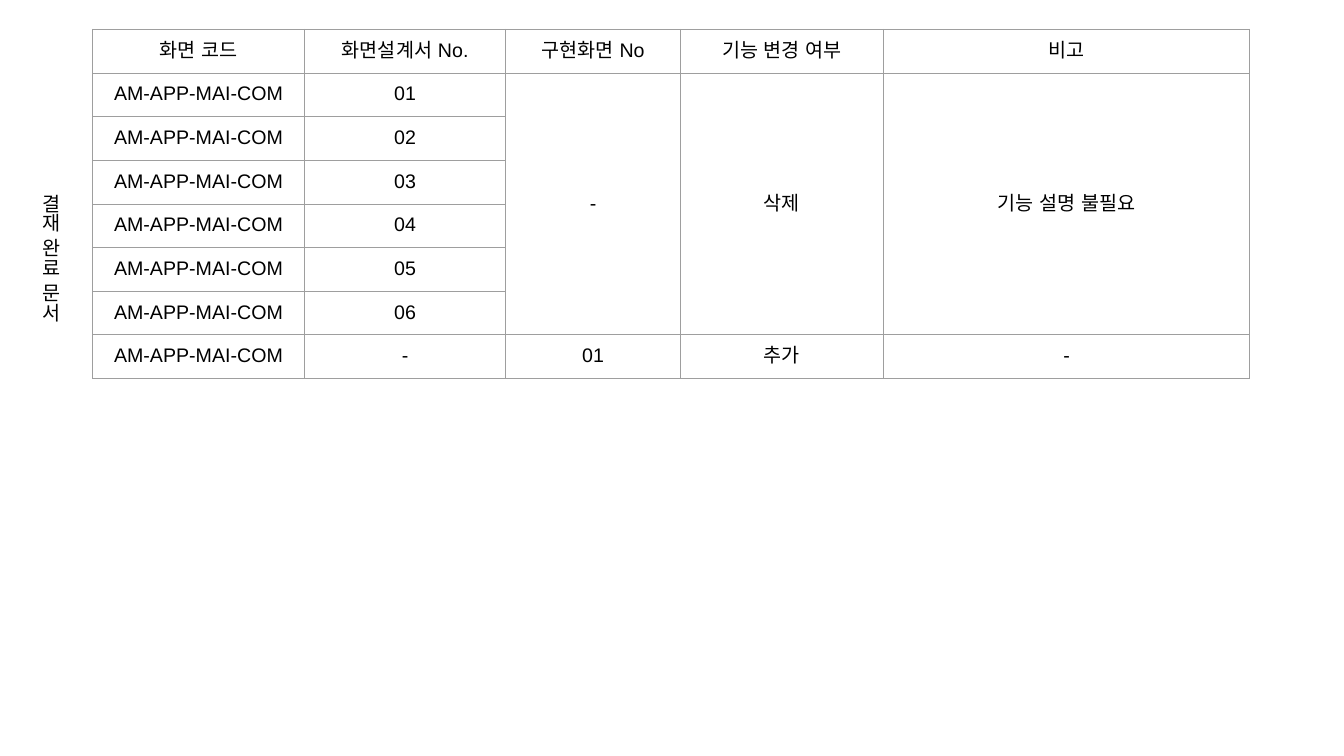
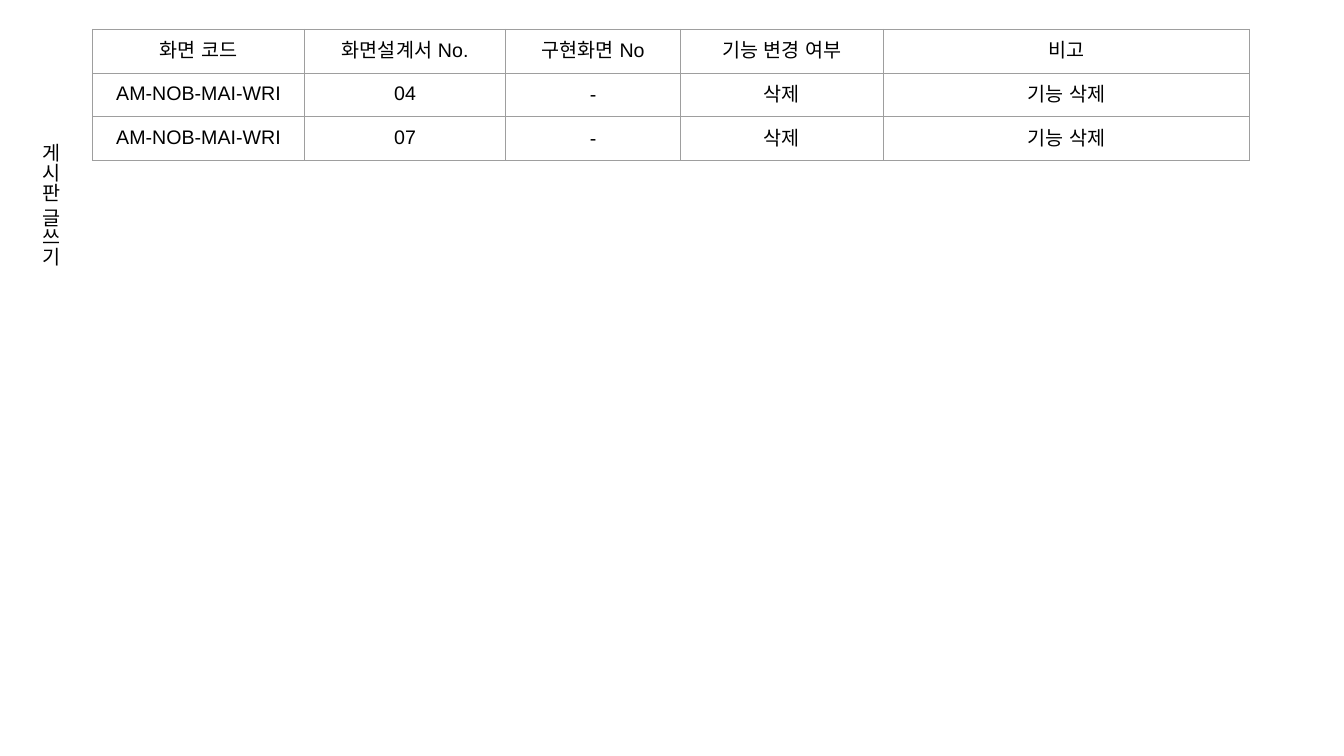
from lxml import etree
from pptx import Presentation
from pptx.dml.color import RGBColor
from pptx.enum.text import MSO_ANCHOR, MSO_AUTO_SIZE, PP_ALIGN
from pptx.oxml.ns import qn
from pptx.util import Cm, Pt

CENTER = PP_ALIGN.CENTER
LEFT = PP_ALIGN.LEFT
TOP = MSO_ANCHOR.TOP
MIDDLE = MSO_ANCHOR.MIDDLE
GROW = MSO_AUTO_SIZE.SHAPE_TO_FIT_TEXT

HEADER = ["화면 코드", "화면설계서 No.", "구현화면 No", "기능 변경 여부", "비고"]


def color(value):
    return RGBColor.from_string(value)


class Deck:
    """Holds the shared style and the current slide of the change list."""

    font_name = "Arial"
    font_size = 14
    text_color = "000000"
    border_color = "9E9E9E"
    border_width = 0.75
    cell_margin = 0.25
    row_height = 1.1
    column_widths = [5.33, 5.08, 4.39, 5.13, 9.22]
    first_result_column = 2

    def __init__(self):
        self.presentation = Presentation()
        self.presentation.slide_width = Cm(33.87)
        self.presentation.slide_height = Cm(19.05)
        self.slide = None

    def add_slide(self):
        self.slide = self.presentation.slides.add_slide(self.presentation.slide_layouts[6])

    def set_text(self, text_frame, text, alignment):
        text_frame.text = text
        paragraph = text_frame.paragraphs[0]
        paragraph.alignment = alignment
        for run in paragraph.runs:
            run.font.name = self.font_name
            run.font.size = Pt(self.font_size)
            run.font.color.rgb = color(self.text_color)
            east_asian = etree.SubElement(run.font._element, qn("a:ea"))
            east_asian.set("typeface", self.font_name)

    def side_title(self, text):
        shape = self.slide.shapes.add_textbox(Cm(0.58), Cm(1.27), Cm(1.12), Cm(4.14))
        text_frame = shape.text_frame
        text_frame.word_wrap = True
        text_frame.auto_size = GROW
        text_frame._txBody.bodyPr.set("vert", "eaVert")
        self.set_text(text_frame, text, LEFT)

    def border(self, cell):
        properties = cell._tc.get_or_add_tcPr()
        for index, side in enumerate(("lnL", "lnR", "lnT", "lnB")):
            line = etree.Element(qn(f"a:{side}"), w=str(Pt(self.border_width)))
            fill = etree.SubElement(line, qn("a:solidFill"))
            etree.SubElement(fill, qn("a:srgbClr"), val=self.border_color)
            properties.insert(index, line)

    def style_cell(self, cell, text, anchor):
        cell.fill.background()
        self.border(cell)
        if cell.is_spanned:
            return
        margin = Cm(self.cell_margin)
        cell.margin_left = cell.margin_right = margin
        cell.margin_top = cell.margin_bottom = margin
        cell.vertical_anchor = anchor
        self.set_text(cell.text_frame, text, CENTER)

    def change_table(self, body, middle_rows, merged=False):
        rows = [HEADER] + body
        shape = self.slide.shapes.add_table(
            len(rows), len(HEADER), Cm(2.34), Cm(0.74),
            Cm(sum(self.column_widths)), Cm(self.row_height * len(rows)))
        table = shape.table
        table.first_row = False
        table.horz_banding = False
        for column, width in zip(table.columns, self.column_widths):
            column.width = Cm(width)
        for row in table.rows:
            row.height = Cm(self.row_height)
        if merged:
            for column_index in range(self.first_result_column, len(HEADER)):
                table.cell(1, column_index).merge(table.cell(middle_rows, column_index))
        for row_index, texts in enumerate(rows):
            for column_index, text in enumerate(texts):
                is_result = column_index >= self.first_result_column
                anchor = MIDDLE if is_result and 1 <= row_index <= middle_rows else TOP
                self.style_cell(table.cell(row_index, column_index), text, anchor)


def main():
    deck = Deck()

    deck.add_slide()
    approval_code = "AM-APP-MAI-COM"
    deleted = ["-", "삭제", "기능 설명 불필요"]
    body = [[approval_code, f"{number:02d}"] + deleted for number in range(1, 7)]
    body.append([approval_code, "-", "01", "추가", "-"])
    deck.change_table(body, middle_rows=6, merged=True)
    deck.side_title("결재 완료 문서")

    deck.add_slide()
    body = [["AM-NOB-MAI-WRI", number, "-", "삭제", "기능 삭제"] for number in ("04", "07")]
    deck.change_table(body, middle_rows=2)
    deck.side_title("게시판 글쓰기")

    deck.presentation.save("out.pptx")


if __name__ == "__main__":
    main()
